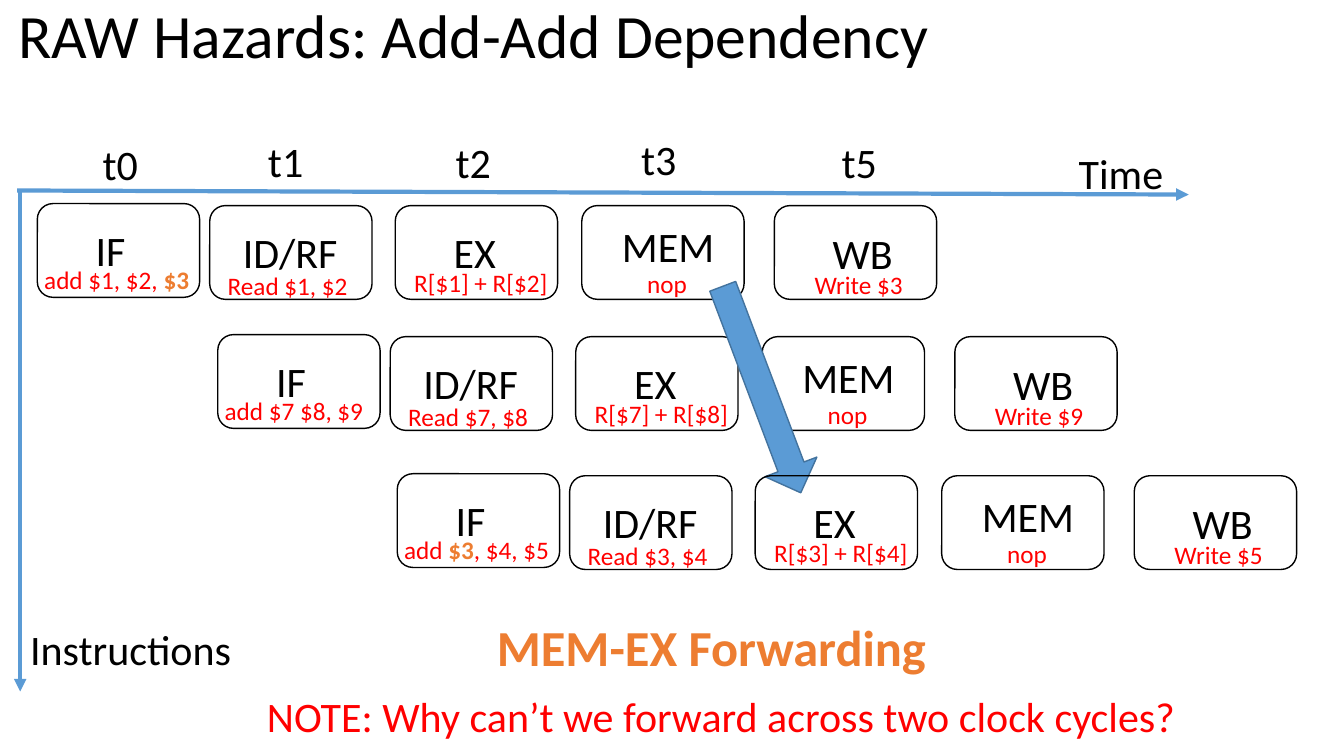
from typing import NamedTuple

from pptx import Presentation
from pptx.dml.color import RGBColor
from pptx.enum import shapes, text
from pptx.oxml import parse_xml
from pptx.oxml.ns import nsdecls
from pptx.util import Inches, Pt

BLACK, RED, ORANGE, BLUE, DARK_BLUE = "000000", "FF0000", "ED7D31", "5B9BD5", "43739E"
FONT = "Calibri"
BOX_W, BOX_H = 1.61, 0.93


class Stage(NamedTuple):
    """A pipeline stage; each pair is an offset from its row's origin."""
    name: str
    box: tuple[float, float]
    label: tuple[float, float]
    label_w: float
    note: tuple[float, float]
    note_w: float


class Instruction(NamedTuple):
    left: float
    top: float
    notes: tuple[str, ...]
    highlight: str = ""


class Caption(NamedTuple):
    words: str
    left: float
    top: float
    width: float


STAGES = [
    Stage("IF", (0, 0), (0.48, 0.16), 0.5, (-0.03, 0.55), 1.66),
    Stage("ID/RF", (1.71, 0.02), (1.94, 0.18), 1.15, (1.79, 0.61), 1.41),
    Stage("EX", (3.55, 0.02), (4.03, 0.18), 0.63, (3.64, 0.58), 1.54),
    Stage("MEM", (5.4, 0.02), (5.7, 0.12), 1.13, (5.95, 0.59), 0.6),
    Stage("WB", (7.31, 0.02), (7.79, 0.19), 0.81, (7.61, 0.6), 1.09),
]
FIRST = Instruction(0.37, 2.02, ("add $1, $2, $3", "Read $1, $2", "R[$1] + R[$2]",
                                 "nop", "Write $3"), "$3")
SECOND = Instruction(2.16, 3.32, ("add $7 $8, $9", "Read $7, $8", "R[$7] + R[$8]",
                                  "nop", "Write $9"))
THIRD = Instruction(3.94, 4.7, ("add $3, $4, $5", "Read $3, $4", "R[$3] + R[$4]",
                                "nop", "Write $5"), "$3")
AXIS_CAPTIONS = [
    Caption("t0", 0.92, 1.32, 0.56),
    Caption("t1", 2.56, 1.3, 0.56),
    Caption("t2", 4.42, 1.31, 0.56),
    Caption("t3", 6.26, 1.28, 0.56),
    Caption("t5", 8.25, 1.31, 0.56),
    Caption("Time", 10.6, 1.41, 1.05),
    Caption("Instructions", 0.2, 6.14, 2.22),
]


def rgb(color: str) -> RGBColor:
    return RGBColor.from_string(color)


def add_run(p, words: str, *, size: float, color: str = BLACK, bold: bool = False) -> None:
    r = p.add_run()
    r.text = words
    r.font.name, r.font.size, r.font.bold = FONT, Pt(size), bold
    r.font.color.rgb = rgb(color)


def add_text(s, words: str, left: float, top: float, width: float, height: float = 0.61, *,
             size: float = 30, color: str = BLACK, bold: bool = False,
             highlight: str = "") -> None:
    """Add one line of text, with the highlighted part in bold orange."""
    tf = s.shapes.add_textbox(Inches(left), Inches(top), Inches(width), Inches(height)).text_frame
    tf.word_wrap = False
    tf.auto_size = text.MSO_AUTO_SIZE.SHAPE_TO_FIT_TEXT
    p = tf.paragraphs[0]
    before, hit, after = words.partition(highlight) if highlight else (words, "", "")
    for part in (before, hit, after):
        if part:
            is_hit = part == hit
            add_run(p, part, size=size, color=ORANGE if is_hit else color, bold=is_hit or bold)


def add_shape(s, kind: shapes.MSO_SHAPE, left: float, top: float, width: float, height: float,
              *, line: str, fill: str = ""):
    sp = s.shapes.add_shape(kind, Inches(left), Inches(top), Inches(width), Inches(height))
    sp.shadow.inherit = False
    if fill:
        sp.fill.solid()
        sp.fill.fore_color.rgb = rgb(fill)
    else:
        sp.fill.background()
    sp.line.color.rgb = rgb(line)
    sp.line.width = Pt(1)
    return sp


def add_axis(s, x1: float, y1: float, x2: float, y2: float) -> None:
    axis = s.shapes.add_connector(shapes.MSO_CONNECTOR.STRAIGHT, Inches(x1), Inches(y1),
                                  Inches(x2), Inches(y2))
    axis.line.color.rgb = rgb(BLUE)
    axis.line.width = Pt(3)
    axis.line._get_or_add_ln().append(parse_xml(f'<a:tailEnd {nsdecls("a")} type="triangle"/>'))
    axis._element.spPr.append(parse_xml(f'<a:effectLst {nsdecls("a")}/>'))


def add_instruction(s, row: Instruction) -> None:
    for stage, note in zip(STAGES, row.notes):
        (box_x, box_y), (label_x, label_y), (note_x, note_y) = stage.box, stage.label, stage.note
        add_shape(s, shapes.MSO_SHAPE.ROUNDED_RECTANGLE, row.left + box_x, row.top + box_y,
                  BOX_W, BOX_H, line=BLACK)
        add_text(s, stage.name, row.left + label_x, row.top + label_y, stage.label_w)
        add_text(s, note, row.left + note_x, row.top + note_y, stage.note_w, 0.4,
                 size=18, color=RED, highlight=row.highlight if stage.name == "IF" else "")


def add_title(s, words: str) -> None:
    title = s.shapes.title
    title.left, title.top = Inches(0.08), Inches(-0.34)
    title.width, title.height = Inches(11.5), Inches(1.45)
    tf = title.text_frame
    tf.auto_size = text.MSO_AUTO_SIZE.NONE
    tf.vertical_anchor = text.MSO_ANCHOR.MIDDLE
    p = tf.paragraphs[0]
    p.alignment = text.PP_ALIGN.LEFT
    p.line_spacing = 0.9
    add_run(p, words, size=44)


def main() -> None:
    prs = Presentation()
    prs.slide_width, prs.slide_height = Inches(13.33), Inches(7.5)
    s = prs.slides.add_slide(prs.slide_layouts[5])

    add_title(s, "RAW Hazards: Add-Add Dependency")
    add_axis(s, 0.17, 1.89, 11.79, 1.93)
    add_axis(s, 0.2, 1.89, 0.2, 6.86)
    for caption in AXIS_CAPTIONS:
        add_text(s, *caption)

    add_instruction(s, FIRST)
    add_instruction(s, SECOND)
    forwarding = add_shape(s, shapes.MSO_SHAPE.RIGHT_ARROW, 6.46, 3.59, 2.19, 0.55,
                           line=DARK_BLUE, fill=BLUE)
    forwarding.rotation = 69.3
    add_instruction(s, THIRD)

    add_text(s, "MEM-EX Forwarding", 4.83, 6.06, 4.5, 0.71, size=36, color=ORANGE, bold=True)
    add_text(s, "NOTE: Why can’t we forward across two clock cycles?", 2.55, 6.8, 9.3, color=RED)
    prs.save("out.pptx")


if __name__ == "__main__":
    main()
